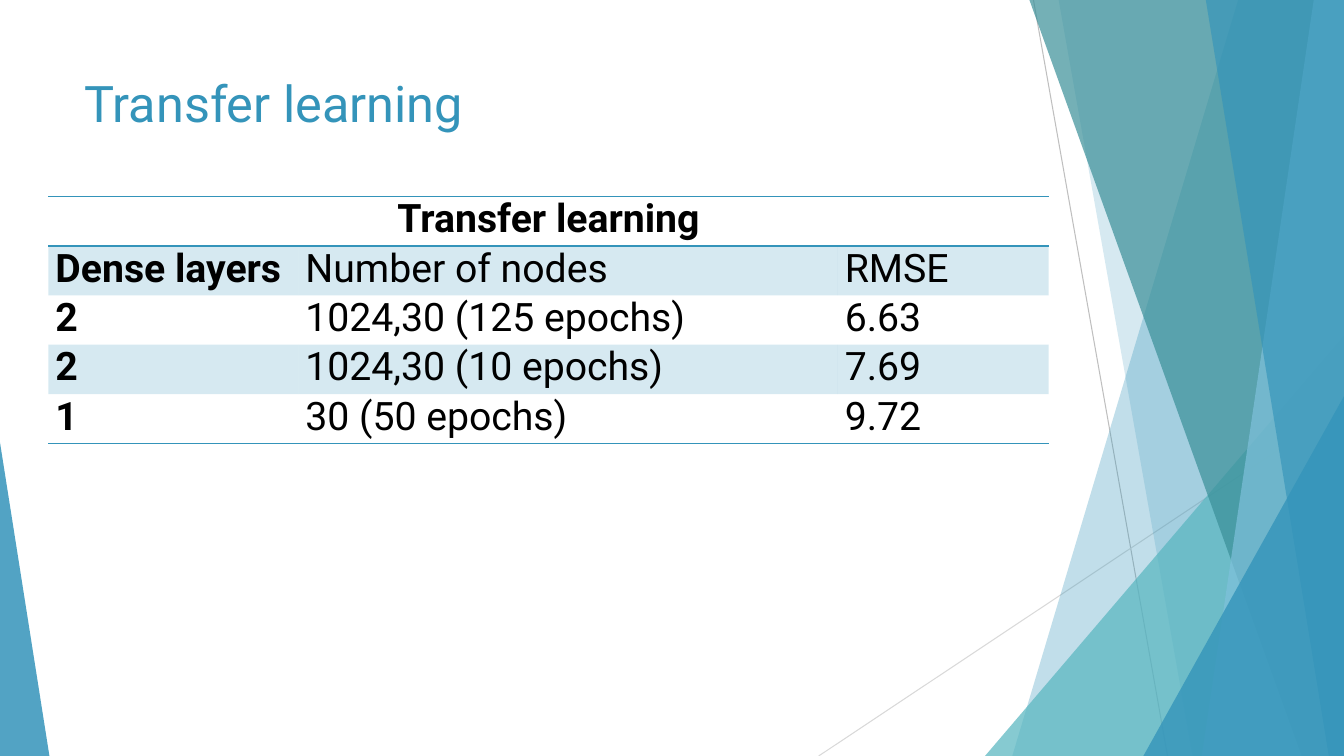
from pptx import Presentation
from pptx.dml.color import RGBColor
from pptx.enum import shapes, text
from pptx.oxml import parse_xml
from pptx.oxml.ns import nsdecls, qn
from pptx.util import Inches, Pt

W, H = 13.33, 7.5
FONT = "Roboto"
NO_STYLE = "{2D5ABB26-0587-4C30-8999-92F81FD0307C}"
COLORS = {
    "blue": "3494BA",
    "sky": "7FC1DB",
    "aqua": "58B6C0",
    "teal": "3A8F98",
    "gray": "BFBFBF",
    "light_gray": "D9D9D9",
    "black": "000000",
}
ROWS = [
    ("Transfer learning", "", ""),
    ("Dense layers", "Number of nodes", "RMSE"),
    ("2", "1024,30 (125 epochs)", "6.63"),
    ("2", "1024,30 (10 epochs)", "7.69"),
    ("1", "30 (50 epochs)", "9.72"),
]


def rgb(color):
    return RGBColor.from_string(COLORS[color])


def set_fill(fill, parent, color, opacity):
    fill.solid()
    fill.fore_color.rgb = rgb(color)
    srgb = parent.find(qn("a:solidFill")).find(qn("a:srgbClr"))
    srgb.append(parse_xml(f'<a:alpha {nsdecls("a")} val="{opacity * 1000}"/>'))


def style_facet(sp, color, opacity):
    sp.shadow.inherit = False
    sp.line.fill.background()
    set_fill(sp.fill, sp._element.spPr, color, opacity)


def add_line(s, x1, y1, x2, y2, color):
    line = s.shapes.add_connector(
        shapes.MSO_CONNECTOR.STRAIGHT,
        Inches(x1), Inches(y1), Inches(x2), Inches(y2))
    line.line.color.rgb = rgb(color)
    line.line.width = Pt(0.75)
    line._element.spPr.append(parse_xml(f'<a:effectLst {nsdecls("a")}/>'))


def add_band(s, top_x, bottom_x, color, opacity):
    corners = [(top_x, 0), (W, 0), (W, H), (bottom_x, H)]
    points = [(Inches(x), Inches(y)) for x, y in corners]
    builder = s.shapes.build_freeform(*points[0])
    builder.add_line_segments(points[1:], close=True)
    style_facet(builder.convert_to_shape(), color, opacity)


def add_triangle(s, left, top, width, apex, color, opacity):
    sp = s.shapes.add_shape(
        shapes.MSO_SHAPE.ISOSCELES_TRIANGLE,
        Inches(left), Inches(top), Inches(width), Inches(H - top))
    sp.adjustments[0] = apex
    style_facet(sp, color, opacity)


def format_run(p, size, color, bold=False):
    font = p.runs[0].font
    font.name = FONT
    font.size = Pt(size)
    font.bold = bold
    font.color.rgb = rgb(color)


def add_title(s, title):
    sp = s.shapes.add_textbox(Inches(0.74), Inches(0.67), Inches(9.4), Inches(1.44))
    tf = sp.text_frame
    tf.word_wrap = True
    tf.vertical_anchor = text.MSO_ANCHOR.TOP
    tf.text = title
    format_run(tf.paragraphs[0], 36, "blue")


def add_border(cell, side):
    cell._tc.get_or_add_tcPr().append(parse_xml(
        f'<a:{side} {nsdecls("a")} w="12700"><a:solidFill>'
        f'<a:srgbClr val="{COLORS["blue"]}"/></a:solidFill></a:{side}>'))


def fill_cell(cell, value, row, col):
    cell.margin_left = cell.margin_right = Inches(0.07)
    cell.margin_top = cell.margin_bottom = 0
    if row == 0:
        add_border(cell, "lnT")
    if row in (0, len(ROWS) - 1):
        add_border(cell, "lnB")
    if row % 2:
        set_fill(cell.fill, cell._tc.tcPr, "blue", 20)
    else:
        cell.fill.background()
    if value:
        cell.text_frame.text = value
        p = cell.text_frame.paragraphs[0]
        p.alignment = text.PP_ALIGN.JUSTIFY if row else text.PP_ALIGN.CENTER
        p.space_after = Pt(4)
        format_run(p, 28, "black", bold=col == 0)


def add_results(s):
    widths = (2.48, 5.35, 2.09)
    row_height = 0.49
    frame = s.shapes.add_table(
        len(ROWS), len(widths), Inches(0.48), Inches(1.95),
        Inches(sum(widths)), Inches(row_height * len(ROWS)))
    table = frame.table
    table._tbl.tblPr.find(qn("a:tableStyleId")).text = NO_STYLE
    for column, width in zip(table.columns, widths):
        column.width = Inches(width)
    table.cell(0, 0).merge(table.cell(0, len(widths) - 1))
    for row, values in enumerate(ROWS):
        table.rows[row].height = Inches(row_height)
        for col, value in enumerate(values):
            fill_cell(table.cell(row, col), value, row, col)


def add_facets(s):
    add_line(s, 10.25, 0, 11.58, H, "gray")
    add_line(s, W, 4.03, 8.12, H, "light_gray")
    add_band(s, 12.28, 10.04, "blue", 30)
    add_band(s, 10.5, 11.83, "blue", 20)
    add_triangle(s, 9.77, 3.33, 3.56, 1, "aqua", 72)
    add_band(s, 10.21, 12.91, "teal", 70)
    add_band(s, 13.03, 11.92, "sky", 70)
    add_band(s, 11.96, 13.18, "blue", 65)
    add_triangle(s, 11.34, 3.93, 1.99, 1, "blue", 80)
    add_triangle(s, 0, 4.39, 0.49, 0, "blue", 85)


def main():
    prs = Presentation()
    prs.slide_width = Inches(W)
    prs.slide_height = Inches(H)
    s = prs.slides.add_slide(prs.slide_layouts[6])
    add_facets(s)
    add_title(s, "Transfer learning")
    add_results(s)
    prs.save("out.pptx")


if __name__ == "__main__":
    main()
